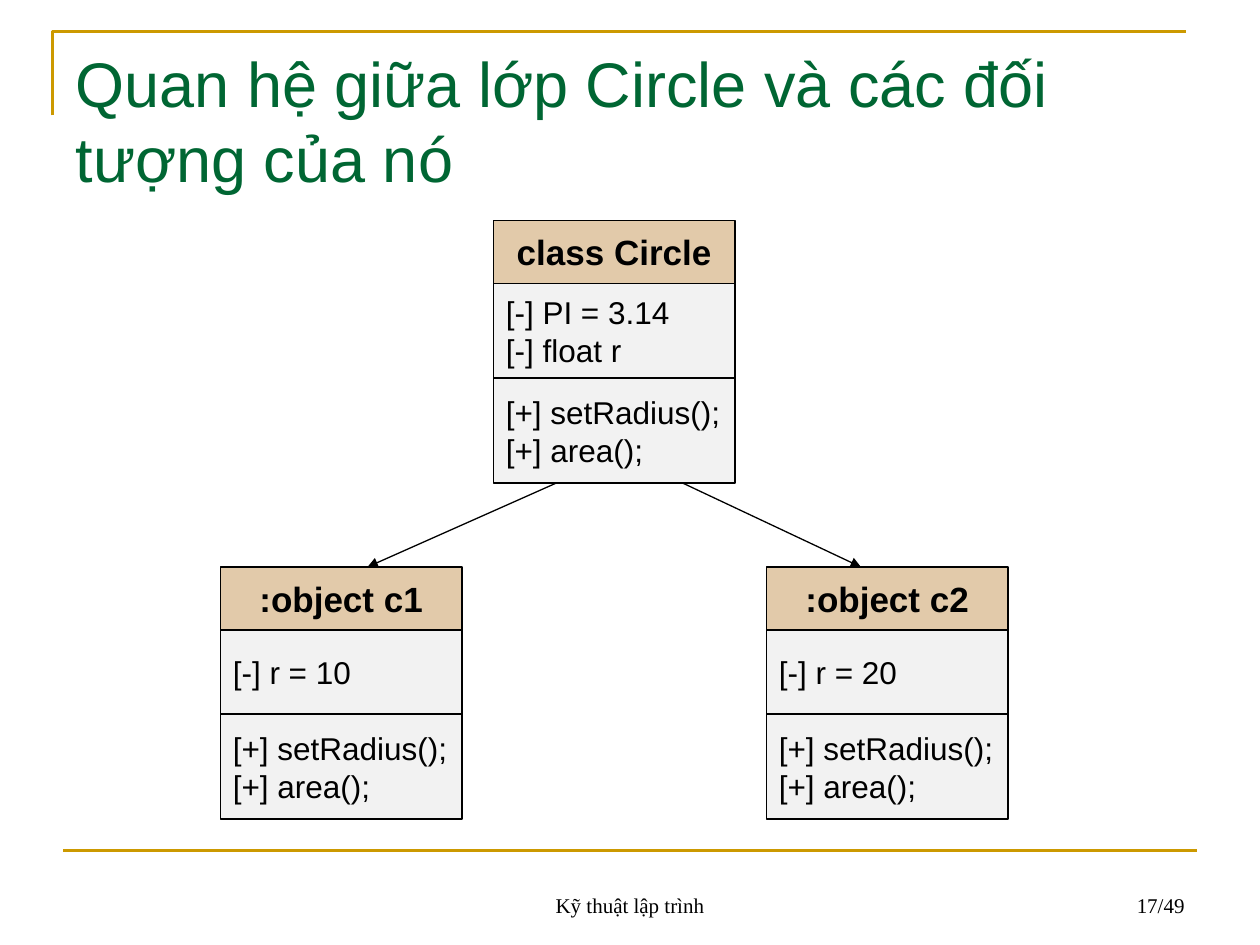
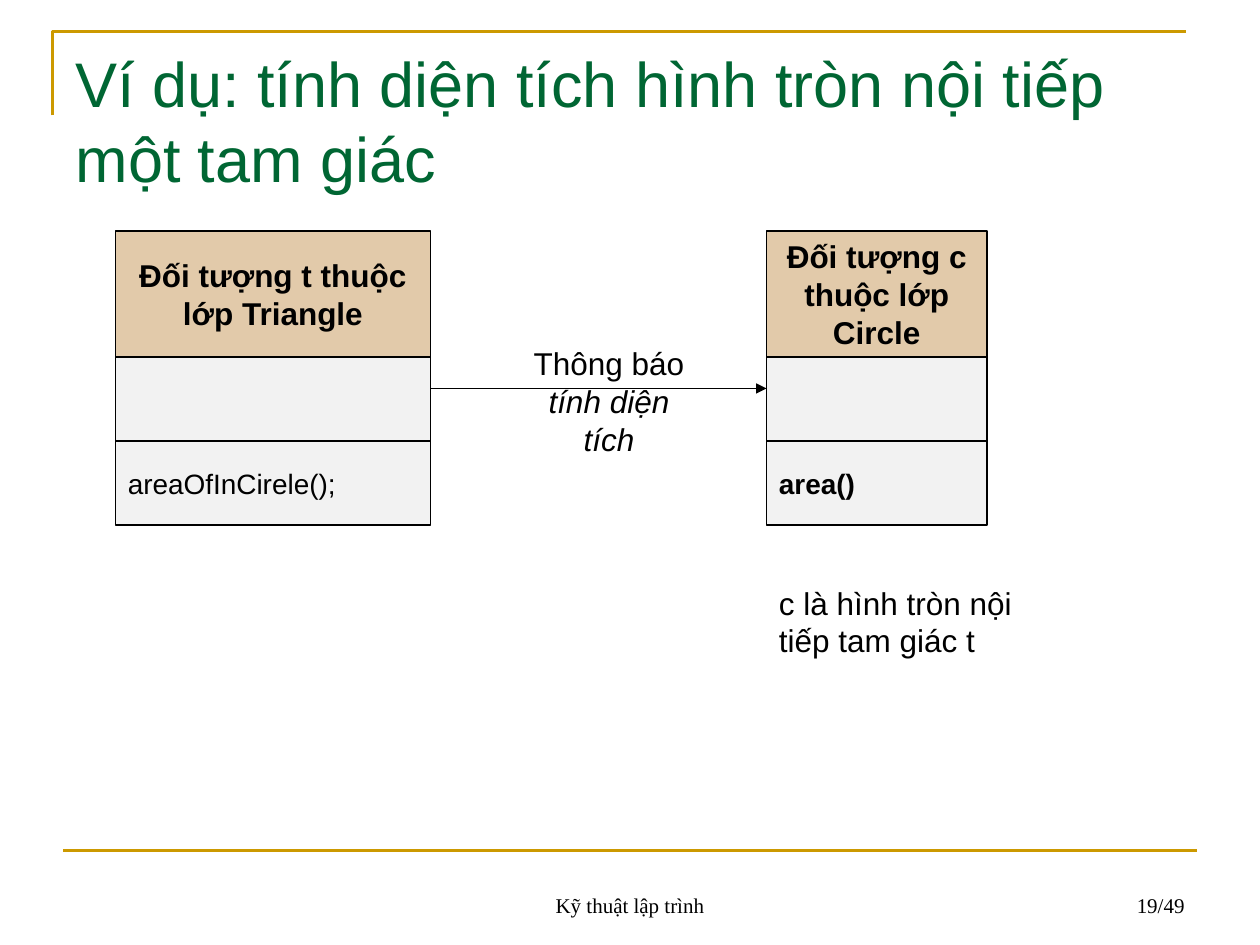
from lxml.etree import SubElement
from pptx import Presentation
from pptx.dml.color import RGBColor
from pptx.enum.shapes import MSO_CONNECTOR as Connector, MSO_SHAPE as Shape
from pptx.enum.text import MSO_ANCHOR as Anchor, MSO_AUTO_SIZE as AutoSize, PP_ALIGN as Align
from pptx.oxml.ns import qn
from pptx.util import Inches, Pt

GREEN = RGBColor(0x00, 0x66, 0x33)
GOLD = RGBColor(0xCC, 0x99, 0x00)
TAN = RGBColor(0xE2, 0xCA, 0xAA)
GRAY = RGBColor(0xF2, 0xF2, 0xF2)
BLACK = RGBColor(0x00, 0x00, 0x00)

BODY_FONT, FOOTER_FONT = "Arial", "Times New Roman"
CELLS_PER_INCH = 12  # the slide is 120 columns by 90 rows
TITLE_ONLY = 5


def cells(*counts):
    return [Inches(count / CELLS_PER_INCH) for count in counts]


class Deck:
    """Holds the shared style and the slide being built."""

    def __init__(self):
        self.presentation = Presentation()
        self.presentation.slide_width, self.presentation.slide_height = cells(120, 90)
        self.slide = None

    def new_slide(self, title, number):
        layout = self.presentation.slide_layouts[TITLE_ONLY]
        self.slide = self.presentation.slides.add_slide(layout)
        self.frame()
        placeholder = self.slide.shapes.title
        placeholder.left, placeholder.top, placeholder.width, placeholder.height = cells(6, 3.6, 108, 15)
        self.set_text(placeholder, [title], 36, color=GREEN, anchor=Anchor.TOP)
        self.label("Kỹ thuật lập trình", 41, 82, 38, 6, 12, Align.CENTER, FOOTER_FONT, Anchor.BOTTOM)
        self.label(f"{number}/49", 86, 82, 28, 6, 12, Align.RIGHT, FOOTER_FONT, Anchor.BOTTOM)

    def frame(self):
        """Gold corner above the title and gold rule above the footer."""
        builder = self.slide.shapes.build_freeform(*cells(5, 11))
        builder.add_line_segments([cells(5, 3), cells(113, 3)], close=False)
        corner = builder.convert_to_shape()
        corner.shadow.inherit = False
        corner.fill.background()
        self.stroke(corner, GOLD, 1.5)
        self.line((6, 81), (114, 81), GOLD, 1.5)

    def stroke(self, shape, color, width):
        shape.line.color.rgb = color
        shape.line.width = Pt(width)

    def set_text(self, shape, lines, size, align=Align.LEFT, font=BODY_FONT,
                 color=BLACK, bold=False, anchor=Anchor.MIDDLE):
        text_frame = shape.text_frame
        text_frame.word_wrap = True
        text_frame.auto_size = AutoSize.NONE
        text_frame.vertical_anchor = anchor
        text_frame.text = "\n".join(lines)
        for paragraph in text_frame.paragraphs:
            paragraph.alignment = align
            paragraph.font.name = font
            paragraph.font.size = Pt(size)
            paragraph.font.bold = bold
            paragraph.font.color.rgb = color

    def label(self, text, left, top, width, height, size=18, align=Align.LEFT,
              font=BODY_FONT, anchor=Anchor.TOP):
        box = self.slide.shapes.add_textbox(*cells(left, top, width, height))
        self.set_text(box, [text], size, align, font, anchor=anchor)
        return box.text_frame.paragraphs[0]

    def line(self, start, end, color=BLACK, width=0.75, arrow=False):
        connector = self.slide.shapes.add_connector(Connector.STRAIGHT, *cells(*start, *end))
        self.stroke(connector, color, width)
        properties = connector.element.spPr
        if arrow:
            SubElement(properties.find(qn("a:ln")), qn("a:tailEnd"), type="triangle")
        SubElement(properties, qn("a:effectLst"))

    def class_box(self, left, top, width, heights, name, fields, methods,
                  name_size=20, member_size=18, bold_methods=False):
        """Stack the name, fields and methods of a class or object."""
        compartments = [
            ([name], TAN, name_size, Align.CENTER, True),
            (fields, GRAY, member_size, Align.LEFT, False),
            (methods, GRAY, member_size, Align.LEFT, bold_methods),
        ]
        for height, (lines, fill, size, align, bold) in zip(heights, compartments):
            rectangle = self.slide.shapes.add_shape(Shape.RECTANGLE, *cells(left, top, width, height))
            rectangle.shadow.inherit = False
            rectangle.fill.solid()
            rectangle.fill.fore_color.rgb = fill
            self.stroke(rectangle, BLACK, 0.75)
            if lines:
                self.set_text(rectangle, lines, size, align, bold=bold)
            top += height


def build_class_and_objects(deck):
    deck.new_slide("Quan hệ giữa lớp Circle và các đối tượng của nó", 17)
    methods = ["[+] setRadius();", "[+] area();"]
    deck.class_box(47, 21, 23, (6, 9, 10), "class Circle",
                   ["[-] PI = 3.14", "[-] float r"], methods)

    # Objects and the arrows that reach them from the class
    objects = [(21, "c1", 10, 53, 35), (73, "c2", 20, 65, 82)]
    for left, name, radius, arrow_start, arrow_end in objects:
        deck.class_box(left, 54, 23, (6, 8, 10), f":object {name}", [f"[-] r = {radius}"], methods)
        deck.line((arrow_start, 46), (arrow_end, 54), arrow=True)


def build_message_example(deck):
    deck.new_slide("Ví dụ: tính diện tích hình tròn nội tiếp một tam giác", 19)
    heights = (12, 8, 8)
    deck.class_box(11, 22, 30, heights, "Đối tượng t thuộc lớp Triangle",
                   [], ["areaOfInCirele();"], 18, 16)
    deck.class_box(73, 22, 21, heights, "Đối tượng c thuộc lớp Circle",
                   [], ["area()"], 18, 16, bold_methods=True)

    # Message between the two objects
    deck.line((41, 37), (73, 37), arrow=True)
    message = deck.label("Thông báo ", 49, 32.2, 18, 12, align=Align.CENTER)
    message.space_before = Pt(6)
    request = message.add_run()
    request.text = "tính diện tích"
    request.font.italic = True

    deck.label("c là hình tròn nội tiếp tam giác t", 73, 55, 26, 8.4)


def main():
    deck = Deck()
    build_class_and_objects(deck)
    build_message_example(deck)
    deck.presentation.save("out.pptx")


if __name__ == "__main__":
    main()
